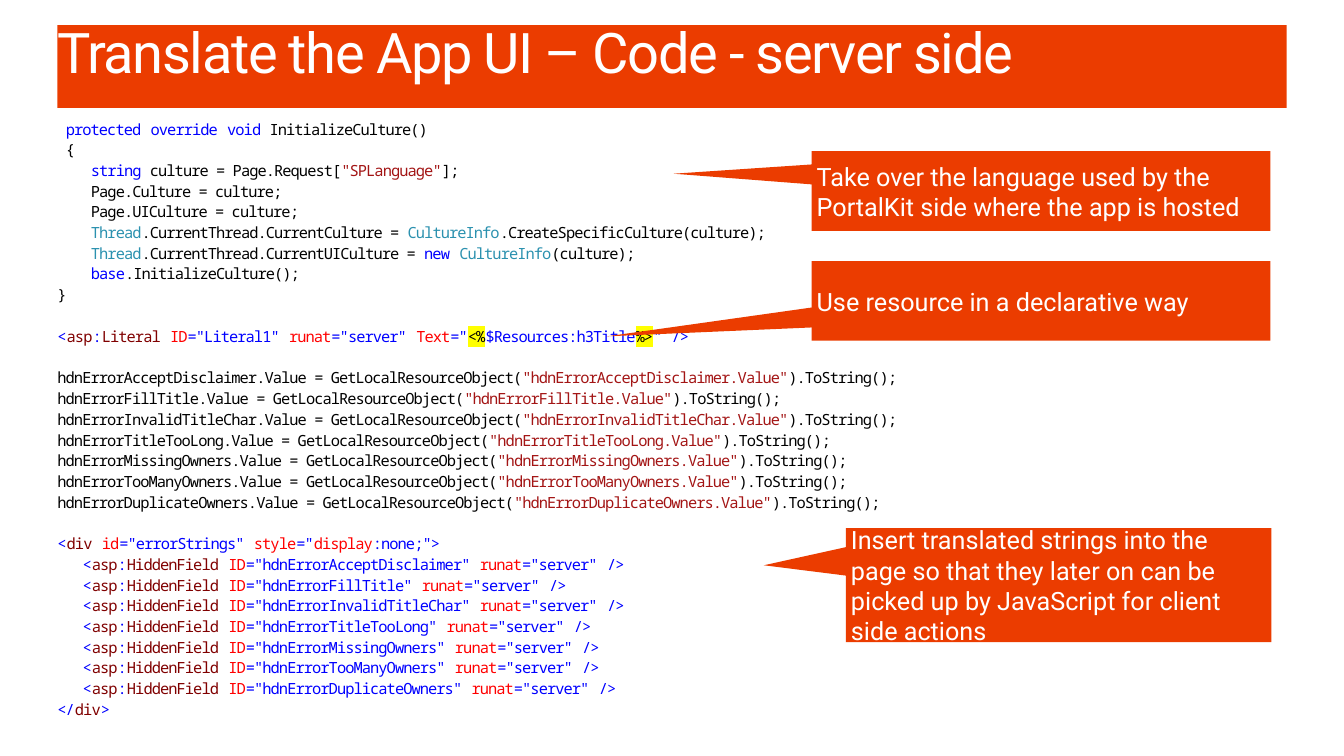
"""Build the slide on translating an app's user interface in server-side code."""
from dataclasses import dataclass

import pptx
import pptx.dml.color
import pptx.enum.shapes
import pptx.enum.text
import pptx.oxml
import pptx.oxml.ns
import pptx.util

Inches = pptx.util.Inches
Pt = pptx.util.Pt
Anchor = pptx.enum.text.MSO_ANCHOR
Preset = pptx.enum.shapes.MSO_SHAPE


@dataclass(frozen=True)
class Theme:
    accent: str = "EB3C00"
    light: str = "FFFFFF"
    plain: str = "000000"
    keyword: str = "0000FF"
    literal: str = "A31515"
    kind: str = "2B91AF"
    tag: str = "800000"
    attribute: str = "FF0000"
    marker: str = "FFFF00"
    sans: str = "Roboto"
    mono: str = "Noto Sans Mono"
    title_size: float = 40
    callout_size: float = 18
    code_size: float = 11
    title_tracking: int = -100
    code_tracking: int = -70
    code_indent: float = 0.083
    line_gap: float = 2.2
    block_gap: float = 17.3


THEME = Theme()
SPACE = ("plain", " ")
FIELDS = ["AcceptDisclaimer", "FillTitle", "InvalidTitleChar", "TitleTooLong",
          "MissingOwners", "TooManyOwners", "DuplicateOwners"]
CALLOUTS = [
    ((8.05, 1.5, 4.55, 0.79), (-0.801, -0.217),
     "Take over the language used by the PortalKit side where the app is hosted"),
    ((8.05, 2.59, 4.55, 0.79), (-0.946, 0.445), "Use resource in a declarative way"),
    ((8.39, 5.24, 4.22, 1.13), (-0.693, -0.174),
     "Insert translated strings into the page so that they later on can be "
     "picked up by JavaScript for client side actions"),
]
CULTURE_METHOD = [
    (1, [("keyword", "protected"), SPACE, ("keyword", "override"), SPACE,
         ("keyword", "void"), ("plain", " InitializeCulture()")]),
    (1, [("plain", "{")]),
    (4, [("keyword", "string"), ("plain", " culture = Page.Request["),
         ("literal", '"SPLanguage"'), ("plain", "];")]),
    (4, [("plain", "Page.Culture = culture;")]),
    (4, [("plain", "Page.UICulture = culture;")]),
    (4, [("kind", "Thread"), ("plain", ".CurrentThread.CurrentCulture = "),
         ("kind", "CultureInfo"), ("plain", ".CreateSpecificCulture(culture);")]),
    (4, [("kind", "Thread"), ("plain", ".CurrentThread.CurrentUICulture = "),
         ("keyword", "new"), SPACE, ("kind", "CultureInfo"), ("plain", "(culture);")]),
    (4, [("keyword", "base"), ("plain", ".InitializeCulture();")]),
    (0, [("plain", "}")]),
]


def set_all(target, values):
    """Set every attribute named in values."""
    for name, value in values.items():
        setattr(target, name, value)


def add_span(para, text, font, size, color, tracking=0, marker=None):
    """Add one formatted run of text."""
    span = para.add_run()
    span.text = text
    set_all(span.font, {"name": font, "size": Pt(size)})
    span.font.color.rgb = pptx.dml.color.RGBColor.from_string(color)
    properties = span._r.get_or_add_rPr()
    if tracking:
        properties.set("spc", str(tracking))
    if marker:
        namespace = pptx.oxml.ns.nsdecls("a")
        highlight = pptx.oxml.parse_xml(
            f'<a:highlight {namespace}><a:srgbClr val="{marker}"/></a:highlight>')
        properties.find(pptx.oxml.ns.qn("a:solidFill")).addnext(highlight)


def set_frame(shape, anchor, inset):
    """Prepare the text frame of a shape and return it."""
    frame = shape.text_frame
    margins = {f"margin_{side}": Inches(inset) for side in ("left", "top", "right", "bottom")}
    set_all(frame, {"word_wrap": True, "vertical_anchor": anchor, **margins})
    return frame


def add_panel(page, preset, bounds, text, size, anchor, inset, tracking=0):
    """Add an accent-coloured shape with left-aligned text."""
    shape = page.shapes.add_shape(preset, *map(Inches, bounds))
    shape.shadow.inherit = False
    shape.fill.solid()
    shape.fill.fore_color.rgb = pptx.dml.color.RGBColor.from_string(THEME.accent)
    shape.line.fill.background()
    para = set_frame(shape, anchor, inset).paragraphs[0]
    para.alignment = pptx.enum.text.PP_ALIGN.LEFT
    add_span(para, text, THEME.sans, size, THEME.light, tracking)
    return shape, para


def add_callout(page, bounds, tip, text):
    """Add a callout whose tail ends at tip."""
    shape, _ = add_panel(page, Preset.RECTANGULAR_CALLOUT, bounds, text,
                         THEME.callout_size, Anchor.MIDDLE, 0.05)
    shape.adjustments[0], shape.adjustments[1] = tip


def attribute(name, value):
    """Return the runs of one markup attribute."""
    return [SPACE, ("attribute", name), ("keyword", f'="{value}"')]


def server_tag(name, identity):
    """Return the opening runs of a server control."""
    return [("keyword", "<"), ("tag", "asp"), ("keyword", ":"), ("tag", name),
            *attribute("ID", identity), *attribute("runat", "server")]


def assignment(field):
    """Return the code line that loads one translated string."""
    name = f"hdnError{field}.Value"
    return 0, [("plain", f"{name} = GetLocalResourceObject("),
               ("literal", f'"{name}"'), ("plain", ").ToString();")]


def code_blocks():
    """Return the four code blocks as lists of indented lines."""
    ending = [SPACE, ("keyword", "/>")]
    literal = (0, server_tag("Literal", "Literal1") + [
        SPACE, ("attribute", "Text"), ("keyword", '="'), ("marker", "<%"),
        ("keyword", "$Resources:h3Title"), ("marker", "%>"), ("keyword", '"'), *ending])
    opening = (0, [("keyword", "<"), ("tag", "div"), *attribute("id", "errorStrings"),
                   SPACE, ("attribute", "style"), ("keyword", '="'),
                   ("attribute", "display"), ("keyword", ':none;">')])
    hidden = [(3, server_tag("HiddenField", f"hdnError{field}") + ending)
              for field in FIELDS]
    closing = (0, [("keyword", "</"), ("tag", "div"), ("keyword", ">")])
    return [CULTURE_METHOD, [literal], [assignment(field) for field in FIELDS],
            [opening, *hidden, closing]]


def add_code(page, bounds, blocks):
    """Add the coloured code listing with a gap between blocks."""
    box = page.shapes.add_textbox(*map(Inches, bounds))
    frame = set_frame(box, Anchor.TOP, 0)
    para = frame.paragraphs[0]
    for block_index, block in enumerate(blocks):
        for line_index, (indent, spans) in enumerate(block):
            gap = THEME.line_gap if line_index else THEME.block_gap
            if block_index or line_index:
                para = frame.add_paragraph()
            else:
                gap = 0
            set_all(para, {"line_spacing": 0.95, "space_before": Pt(gap)})
            margin = Inches(indent * THEME.code_indent)
            para._p.get_or_add_pPr().set("marL", str(margin))
            for role, text in spans:
                marked = role == "marker"
                color = THEME.plain if marked else getattr(THEME, role)
                add_span(para, text, THEME.mono, THEME.code_size, color,
                         THEME.code_tracking, THEME.marker if marked else None)


def main():
    """Build and save the slide."""
    deck = pptx.Presentation()
    set_all(deck, {"slide_width": Inches(13.33), "slide_height": Inches(7.5)})
    page = deck.slides.add_slide(deck.slide_layouts[6])
    _, title = add_panel(page, Preset.RECTANGLE, (0.57, 0.25, 12.19, 0.82),
                         "Translate the App UI – Code - server side", THEME.title_size,
                         Anchor.TOP, 0, THEME.title_tracking)
    title.line_spacing = 0.9
    add_code(page, (0.57, 1.2, 12.2, 4.48), code_blocks())
    for bounds, tip, text in CALLOUTS:
        add_callout(page, bounds, tip, text)
    deck.save("out.pptx")


if __name__ == "__main__":
    main()
